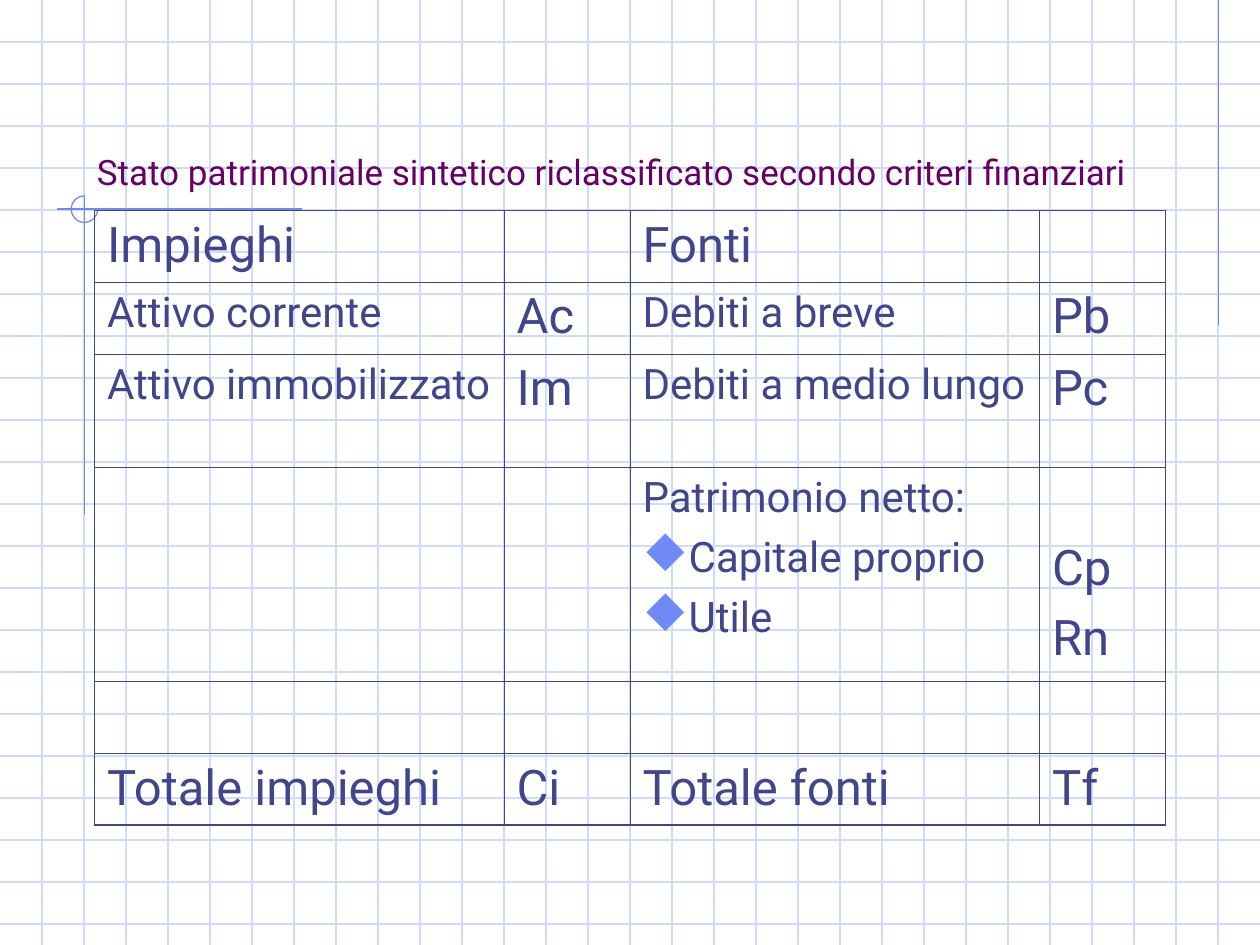
from lxml.etree import SubElement
from pptx import Presentation
from pptx.dml.color import RGBColor
from pptx.enum.shapes import MSO_CONNECTOR, MSO_SHAPE
from pptx.enum.text import MSO_ANCHOR
from pptx.oxml.ns import qn
from pptx.util import Inches, Pt

GRID = RGBColor(0xCF, 0xDB, 0xFD)
ACCENT = RGBColor(0x6F, 0x89, 0xF7)
TITLE = RGBColor(0x66, 0x00, 0x66)
INK = RGBColor(0x40, 0x45, 0x8C)
FONT = "Roboto"

LARGE, SMALL = 28, 24
THIN, THICK = 0.45, 1.08
COLS = [3.25, 1, 3.25, 1]
ROWS = [0.57, 0.57, 0.9, 1.7, 0.57, 0.57]
# Each cell is a list of paragraphs; "• " marks a bulleted one.
CELLS = [
    [["Impieghi"], [], ["Fonti"], []],
    [["Attivo corrente"], ["Ac"], ["Debiti a breve"], ["Pb"]],
    [["Attivo immobilizzato"], ["Im"], ["Debiti a medio lungo"], ["Pc"]],
    [[], [], ["Patrimonio netto:", "• Capitale proprio", "• Utile"], ["Cp", "Rn"]],
    [[], [], [], []],
    [["Totale impieghi"], ["Ci"], ["Totale fonti"], ["Tf"]],
]
BREAKDOWN_ROW = 3


def add_line(s, x1, y1, x2, y2, color):
    line = s.shapes.add_connector(
        MSO_CONNECTOR.STRAIGHT, Inches(x1), Inches(y1), Inches(x2), Inches(y2))
    line.line.color.rgb = color
    line.line.width = Pt(0.75)
    SubElement(line._element.spPr, qn("a:effectLst"))


def add_grid(s, x, y, w, h, per_inch=3):
    for i in range(1, int(h * per_inch) + 1):
        add_line(s, x, y + i / per_inch, x + w, y + i / per_inch, GRID)
    for i in range(1, int(w * per_inch)):
        add_line(s, x + i / per_inch, y, x + i / per_inch, y + h, GRID)


def add_corner_mark(s, x, y, w, h):
    """Crossing lines with a three-quarter circle around the crossing."""
    cx, cy, size = x + 0.22, y + 0.11, 0.21
    add_line(s, x + w, cy, x, cy, ACCENT)
    add_line(s, cx, y, cx, y + h, ACCENT)
    arc = s.shapes.add_shape(MSO_SHAPE.ARC, Inches(cx - size / 2),
                             Inches(cy - size / 2), Inches(size), Inches(size))
    arc.shadow.inherit = False
    arc.adjustments[0], arc.adjustments[1] = 0, 162  # 0 to 270 degrees
    arc.fill.background()
    arc.line.color.rgb = ACCENT
    arc.line.width = Pt(0.75)


def add_run(p, text, size, color):
    r = p.add_run()
    r.text = text
    for name, value in {"name": FONT, "size": Pt(size)}.items():
        setattr(r.font, name, value)
    r.font.color.rgb = color


def add_title(s, x, y, w, h, text):
    tf = s.shapes.add_textbox(Inches(x), Inches(y), Inches(w), Inches(h)).text_frame
    tf.word_wrap = True
    tf.vertical_anchor = MSO_ANCHOR.BOTTOM
    add_run(tf.paragraphs[0], text, 20, TITLE)


def add_bullet(p):
    """Diamond bullet: the letter u in the Wingdings symbol font."""
    pPr = p._p.get_or_add_pPr()
    pPr.set("marL", str(Inches(0.34)))
    pPr.set("indent", str(-Inches(0.34)))
    color = SubElement(pPr, qn("a:buClr"))
    SubElement(color, qn("a:srgbClr"), val=str(ACCENT))
    SubElement(pPr, qn("a:buSzPct"), val="110000")
    SubElement(pPr, qn("a:buFont"), typeface="Wingdings", charset="2")
    SubElement(pPr, qn("a:buChar"), char="u")


def set_borders(cell, widths):
    tcPr = cell._tc.get_or_add_tcPr()
    for side, width in widths.items():
        ln = SubElement(tcPr, qn(f"a:ln{side}"), w=str(Pt(width)))
        fill = SubElement(ln, qn("a:solidFill"))
        SubElement(fill, qn("a:srgbClr"), val=str(INK))


def fill_cell(cell, texts, size):
    tf = cell.text_frame
    for i, text in enumerate(texts):
        p = tf.add_paragraph() if i else tf.paragraphs[0]
        p.space_before = Pt(size / 4)
        if text.startswith("• "):
            add_bullet(p)
        add_run(p, text.removeprefix("• "), size, INK)


def add_balance_table(s, x, y, w, h):
    table = s.shapes.add_table(len(ROWS), len(COLS), Inches(x), Inches(y),
                               Inches(w), Inches(h)).table
    table.first_row = table.horz_banding = False
    for col, width in zip(table.columns, COLS):
        col.width = Inches(width * w / sum(COLS))
    for row, height in zip(table.rows, ROWS):
        row.height = Inches(height * h / sum(ROWS))
    last_row, last_col = len(ROWS) - 1, len(COLS) - 1
    for i, row in enumerate(CELLS):
        for j, texts in enumerate(row):
            cell = table.cell(i, j)
            outer = {"L": j == 0, "R": j == last_col, "T": i == 0, "B": i == last_row}
            set_borders(cell, {k: THICK if v else THIN for k, v in outer.items()})
            cell.fill.background()
            is_label = j % 2 == 0 and 0 < i < last_row
            fill_cell(cell, texts, SMALL if is_label else LARGE)
    # Lowers the symbols to the level of the bulleted items.
    table.cell(BREAKDOWN_ROW, last_col).margin_top = Inches(0.58)


def main():
    prs = Presentation()
    prs.slide_width, prs.slide_height = Inches(10), Inches(7.5)
    s = prs.slides.add_slide(prs.slide_layouts[6])
    add_grid(s, 0, 0, 10, 7.5)
    add_line(s, 9.67, 0, 9.67, 2.58, ACCENT)
    add_corner_mark(s, 0.45, 1.55, 1.95, 2.54)
    add_title(s, 0.67, 0.33, 8.5, 1.25,
              "Stato patrimoniale sintetico riclassificato secondo criteri finanziari")
    add_balance_table(s, 0.75, 1.67, 8.5, sum(ROWS))
    prs.save("out.pptx")


if __name__ == "__main__":
    main()
